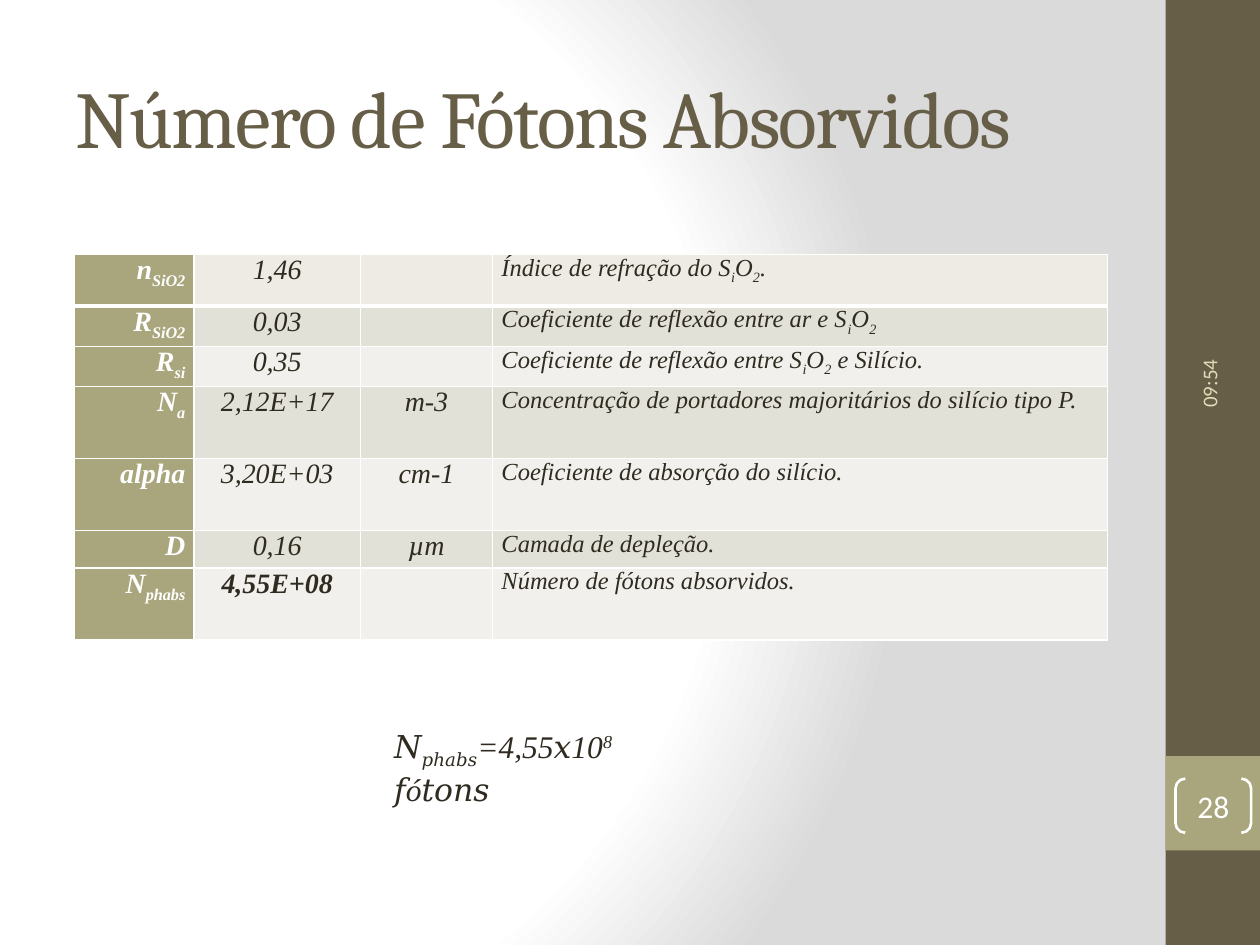
from dataclasses import dataclass

from lxml import etree
from pptx import Presentation
from pptx import util as u
from pptx.dml.color import RGBColor
from pptx.enum import shapes, text
from pptx.oxml import parse_xml
from pptx.oxml.ns import nsdecls, qn

LEFT, CENTER, RIGHT = text.PP_ALIGN.LEFT, text.PP_ALIGN.CENTER, text.PP_ALIGN.RIGHT
MIDDLE, TOP = text.MSO_ANCHOR.MIDDLE, text.MSO_ANCHOR.TOP
BASELINES = {"_": "-25000", "^": "30000"}


@dataclass(frozen=True)
class Theme:
    olive: str = "675E47"
    sage: str = "A9A57C"
    ink: str = "2F2B20"
    white: str = "FFFFFF"
    grey: str = "DADADA"
    cream: str = "DFDCB7"
    first_row: str = "EEEBE5"
    bands: tuple = ("F1F0EC", "E2E1D7")
    heading: str = "Cambria"
    body: str = "Calibri"
    serif: str = "Times New Roman"
    title_size: float = 46
    large: float = 18
    medium: float = 16
    small: float = 14
    tiny: float = 12


class SlideBuilder:
    """Places styled elements on a grid of 100 columns by 75 rows."""

    def __init__(self, deck, theme):
        self.theme = theme
        self.column, self.row = deck.slide_width / 100, deck.slide_height / 75
        self.slide = deck.slides.add_slide(deck.slide_layouts[5])

    def box(self, x, y, w, h):
        return (round(x * self.column), round(y * self.row),
                round(w * self.column), round(h * self.row))

    def set_words(self, frame, content, size, font, color, align=LEFT, bold=False, italic=False):
        """Fill a frame; parts split by | are subscript after _ and superscript after ^."""
        paragraph = frame.paragraphs[0]
        paragraph.alignment = align
        for part in content.split("|"):
            if part == "\n":
                paragraph.add_line_break()
                continue
            run = paragraph.add_run()
            run.text = part.lstrip("_^")
            run.font.size, run.font.name = u.Pt(size), font
            run.font.bold, run.font.italic = bold, italic
            run.font.color.rgb = RGBColor.from_string(color)
            if part[0] in BASELINES:
                run.font._element.set("baseline", BASELINES[part[0]])

    def background(self):
        self.slide.background.fill.solid()
        properties = self.slide._element.find(".//" + qn("p:bgPr"))
        stops = ((0, self.theme.white), (75000, self.theme.white), (100000, self.theme.grey))
        stop_xml = "".join(f'<a:gs pos="{pos}"><a:srgbClr val="{color}"/></a:gs>'
                           for pos, color in stops)
        properties.replace(properties[0], parse_xml(
            f'<a:gradFill {nsdecls("a")} rotWithShape="1"><a:gsLst>{stop_xml}</a:gsLst>'
            '<a:path path="circle"><a:fillToRect l="20000" t="50000" r="100000" b="50000"/>'
            '</a:path></a:gradFill>'))

    def title(self, content, place):
        heading = self.slide.shapes.title
        heading.left, heading.top, heading.width, heading.height = self.box(*place)
        frame = heading.text_frame
        frame.vertical_anchor, frame.word_wrap = MIDDLE, True
        self.set_words(frame, content, self.theme.title_size, self.theme.heading, self.theme.olive)
        frame.paragraphs[0].runs[0].font._element.set("spc", "-100")

    def panel(self, place, color):
        panel = self.slide.shapes.add_shape(shapes.MSO_SHAPE.RECTANGLE, *self.box(*place))
        panel.shadow.inherit = False
        panel.fill.solid()
        panel.fill.fore_color.rgb = RGBColor.from_string(color)
        panel.line.fill.background()

    def label(self, content, place, size, font, color, anchor=TOP, rotation=0, italic=False):
        label = self.slide.shapes.add_textbox(*self.box(*place))
        label.rotation = rotation
        label.text_frame.word_wrap = True
        label.text_frame.vertical_anchor = anchor
        self.set_words(label.text_frame, content, size, font, color, italic=italic)

    def page_number(self, content, place):
        brackets = self.slide.shapes.add_shape(shapes.MSO_SHAPE.DOUBLE_BRACKET, *self.box(*place))
        brackets.adjustments[0] = 0.18
        brackets.shadow.inherit = False
        brackets.fill.background()
        brackets.line.color.rgb = RGBColor.from_string(self.theme.white)
        brackets.line.width = u.Pt(1.5)
        frame = brackets.text_frame
        frame.margin_left = frame.margin_right = frame.margin_top = frame.margin_bottom = 0
        frame.vertical_anchor = MIDDLE
        self.set_words(frame, content, self.theme.large, self.theme.body, self.theme.white, CENTER)

    def borders(self, cell, widths):
        properties = cell._tc.get_or_add_tcPr()
        for index, (side, width) in enumerate(widths.items()):
            line = etree.Element(qn(f"a:ln{side}"), w=str(u.Pt(width)))
            fill = etree.SubElement(line, qn("a:solidFill"))
            etree.SubElement(fill, qn("a:srgbClr"), val=self.theme.white)
            properties.insert(index, line)

    def table(self, records, place, widths, heights):
        theme = self.theme
        table = self.slide.shapes.add_table(len(heights), len(widths), *self.box(*place)).table
        table.first_row = table.horz_banding = False
        for column, width in zip(table.columns, widths):
            column.width = round(width * self.column)
        for row, height in zip(table.rows, heights):
            row.height = round(height * self.row)
        styles = ((theme.medium, theme.white, RIGHT), (theme.medium, theme.ink, CENTER),
                  (theme.medium, theme.ink, CENTER), (theme.small, theme.ink, LEFT))
        last = len(records) - 1
        for r, record in enumerate(records):
            band = theme.bands[r % 2] if r else theme.first_row
            for c, (content, (size, color, align)) in enumerate(zip(record, styles)):
                cell = table.cell(r, c)
                cell.margin_left = cell.margin_right = u.Inches(0.07)
                cell.margin_top = cell.margin_bottom = 0
                cell.fill.solid()
                cell.fill.fore_color.rgb = RGBColor.from_string(band if c else theme.sage)
                self.borders(cell, {"L": 1, "R": 1, "T": 3 if r == 1 else 1,
                                    "B": 3 if r == 0 else 1})
                if content:
                    self.set_words(cell.text_frame, content, size, theme.serif, color, align,
                                   bold=c == 0 or (r == last and c == 1), italic=True)


PARAMETERS = [
    ("n|_SiO2", "1,46", "", "Índice de refração do S|_i|O|_2|."),
    ("R|_SiO2", "0,03", "", "Coeficiente de reflexão entre ar e S|_i|O|_2"),
    ("R|_si", "0,35", "", "Coeficiente de reflexão entre S|_i|O|_2| e Silício."),
    ("N|_a", "2,12E+17", "m-3", "Concentração de portadores majoritários do silício tipo P."),
    ("alpha", "3,20E+03", "cm-1", "Coeficiente de absorção do silício."),
    ("D", "0,16", "µm", "Camada de depleção."),
    ("N|_phabs", "4,55E+08", "", "Número de fótons absorvidos."),
]


def main():
    deck = Presentation()
    deck.slide_width, deck.slide_height = u.Inches(10), u.Inches(7.5)
    theme = Theme()
    page = SlideBuilder(deck, theme)

    # Background and side band
    page.background()
    page.panel((92.5, 0, 7.5, 75), theme.olive)
    page.panel((92.5, 60, 7.5, 7.5), theme.sage)

    # Title and parameter table
    page.title("Número de Fótons Absorvidos", (5, 3, 83.3, 12.5))
    page.table(PARAMETERS, (5.9, 20.2, 82, 30.6), widths=(9.5, 13.2, 10.5, 48.8),
               heights=(4.1, 3.2, 3.2, 5.7, 5.7, 3, 5.7))

    # Time and page number
    page.label("09:54", (82.6, 18, 26.7, 4), theme.tiny, theme.body, theme.cream,
               anchor=MIDDLE, rotation=270)
    page.page_number("28", (93.3, 61.8, 6, 4.3))

    # Result
    page.label("𝑁|_𝑝ℎ𝑎𝑏𝑠|=4,55𝑥10|^8|\n|𝑓ó𝑡𝑜𝑛𝑠", (30.3, 57.2, 29.9, 4),
               theme.large, theme.serif, theme.ink, italic=True)

    deck.save("out.pptx")


if __name__ == "__main__":
    main()
